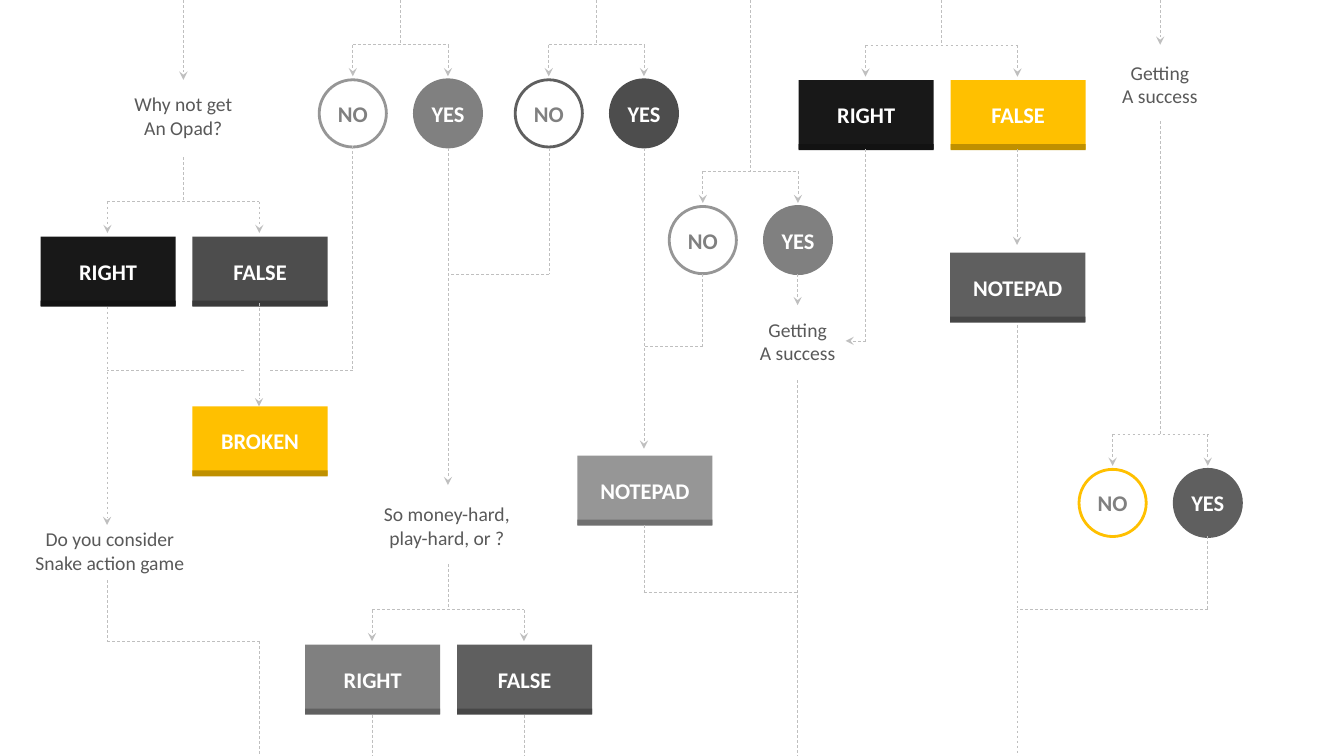
"""Build a flow chart slide of yes/no and right/false forks joined by dashed arrows."""
from itertools import pairwise

from lxml import etree
from pptx import Presentation
from pptx.dml.color import RGBColor
from pptx.enum.dml import MSO_LINE
from pptx.enum.shapes import MSO_CONNECTOR as Link, MSO_SHAPE as Form
from pptx.enum.text import MSO_ANCHOR as Anchor, PP_ALIGN as Align
from pptx.oxml.ns import qn
from pptx.util import Pt

rgb = RGBColor.from_string
WIDE, HIGH = 960, 540

deck = Presentation()
deck.slide_width, deck.slide_height = Pt(WIDE), Pt(HIGH)
slide = deck.slides.add_slide(deck.slide_layouts[6])


def write(shape, text, size=16, hue="FFFFFF", bold=True):
    frame = shape.text_frame
    frame.word_wrap = False
    frame.vertical_anchor = Anchor.MIDDLE
    frame.margin_left = frame.margin_right = Pt(0)
    frame.margin_top = frame.margin_bottom = Pt(3.6)
    frame.text = text
    for para in frame.paragraphs:
        para.alignment = Align.CENTER
        font = para.font
        font.name, font.size, font.bold = "Calibri", Pt(size), bold
        font.color.rgb = rgb(hue)


def draw(form, mid, top, wide, high, fill=None, ring=None):
    shape = slide.shapes.add_shape(form, Pt(mid - wide / 2), Pt(top), Pt(wide), Pt(high))
    shape.shadow.inherit = False
    if fill:
        shape.fill.solid()
        shape.fill.fore_color.rgb = rgb(fill)
    else:
        shape.fill.background()
    if ring:
        shape.line.color.rgb = rgb(ring)
        shape.line.width = Pt(2)
    else:
        shape.line.fill.background()
    return shape


# centre, bar height, stem top, labels, colours
forks = [
    (286, 32, 0, ("NO", "YES"), ("969696", "808080")),
    (426, 32, 0, ("NO", "YES"), ("5F5F5F", "4D4D4D")),
    (536, 122.5, 0, ("NO", "YES"), ("969696", "808080")),
    (828.75, 310.25, 86.5, ("NO", "YES"), ("FFC000", "5F5F5F")),
    (131, 144, 112.5, ("RIGHT", "FALSE"), ("181818", "4D4D4D")),
    (672.5, 32.25, 0, ("RIGHT", "FALSE"), ("181818", "FFC000")),
    (320, 435.5, 403, ("RIGHT", "FALSE"), ("808080", "5F5F5F")),
]
boxes = [
    ("NOTEPAD", 727, 180.5, "5F5F5F"),
    ("NOTEPAD", 460.75, 325.5, "969696"),
    ("BROKEN", 185.75, 290.25, "FFC000"),
]
discs = []
routes = [
    (True, (828.75, 0), (828.75, 32)),
    (True, (131, 0), (131, 57)),
    (True, (320, 106), (320, 346.5)),
    (True, (460, 106), (460, 320.5)),
    (True, (569.75, 196), (569.75, 218)),
    (True, (618.25, 106.5), (618.25, 243.5), (604, 243.5)),
    (True, (726.5, 106.5), (726.5, 175)),
    (True, (185, 216.5), (185, 290.25)),
    (True, (76.5, 219), (76.5, 375)),
    (False, (502, 196), (502, 247.5), (460, 247.5)),
    (False, (392.25, 106), (392.25, 196), (320, 196)),
    (False, (252, 104.5), (252, 264.25), (193, 264.25)),
    (False, (174.25, 264.25), (76.5, 264.25)),
    (False, (76.5, 414.5), (76.5, 458), (185, 458), (185, HIGH)),
    (False, (265.75, 510.5), (265.75, HIGH)),
    (False, (374.25, 510.5), (374.25, HIGH)),
    (False, (569.75, 271.5), (569.75, HIGH)),
    (False, (460, 375), (460, 423.25), (569.75, 423.25)),
    (False, (726.5, 232.5), (726.5, HIGH)),
    (False, (862.75, 383), (862.75, 435.25), (726.5, 435.25)),
]
for mid, bar, top, names, hues in forks:
    disc = names[0] == "NO"
    half = 34 if disc else 54.25
    routes.append((False, (mid, top), (mid, bar)))
    routes.append((False, (mid - half, bar), (mid + half, bar)))
    for x, name, hue in zip((mid - half, mid + half), names, hues):
        routes.append((True, (x, bar), (x, bar + 22.5)))
        if disc:
            discs.append((name, x, bar + 25, hue))
        else:
            boxes.append((name, x + 0.5, bar + 25, hue))

for name, x, y, hue in discs:
    full = name == "YES"
    disc = draw(Form.OVAL, x, y, 48, 48, hue if full else None, hue)
    write(disc, name, hue="FFFFFF" if full else "808080")

for name, x, y, hue in boxes:
    dark = "".join(f"{round(int(hue[i:i + 2], 16) * 0.75):02X}" for i in (0, 2, 4))
    write(draw(Form.RECTANGLE, x, y, 96.5, 49.5, hue), name)
    draw(Form.RECTANGLE, x, y + 45.75, 96.5, 4.25, dark)

for text, mid, top, wide in [
    ("Why not get\nAn Opad?", 131, 62, 88),
    ("Getting\nA success", 569.75, 223.25, 68),
    ("Getting\nA success", 828.5, 39.75, 68),
    ("Do you consider\nSnake action game", 78.5, 373, 124),
    ("So money-hard,\nplay-hard, or ?", 319.25, 355, 106),
]:
    label = slide.shapes.add_textbox(Pt(mid - wide / 2), Pt(top), Pt(wide), Pt(41))
    write(label, text, size=14, hue="595959", bold=False)

for arrow, *spots in routes:
    for start, end in pairwise(spots):
        wire = slide.shapes.add_connector(Link.STRAIGHT, *map(Pt, start + end))
        wire.line.color.rgb = rgb("BFBFBF")
        wire.line.width = Pt(0.5)
        wire.line.dash_style = MSO_LINE.DASH
        props = wire._element.spPr
        if arrow and end == spots[-1]:
            etree.SubElement(props.find(qn("a:ln")), qn("a:tailEnd"), type="stealth")
        etree.SubElement(props, qn("a:effectLst"))

deck.save("out.pptx")
